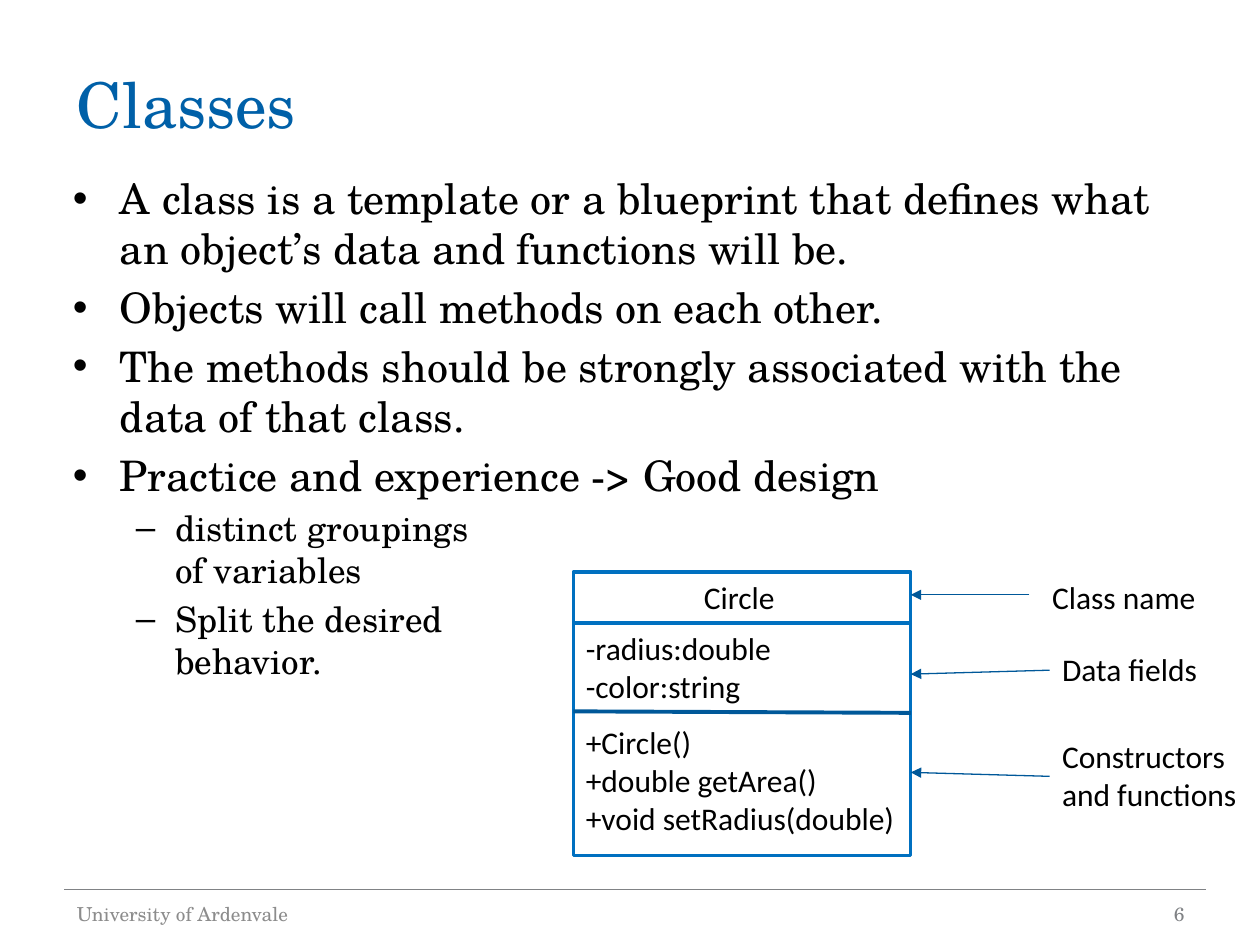
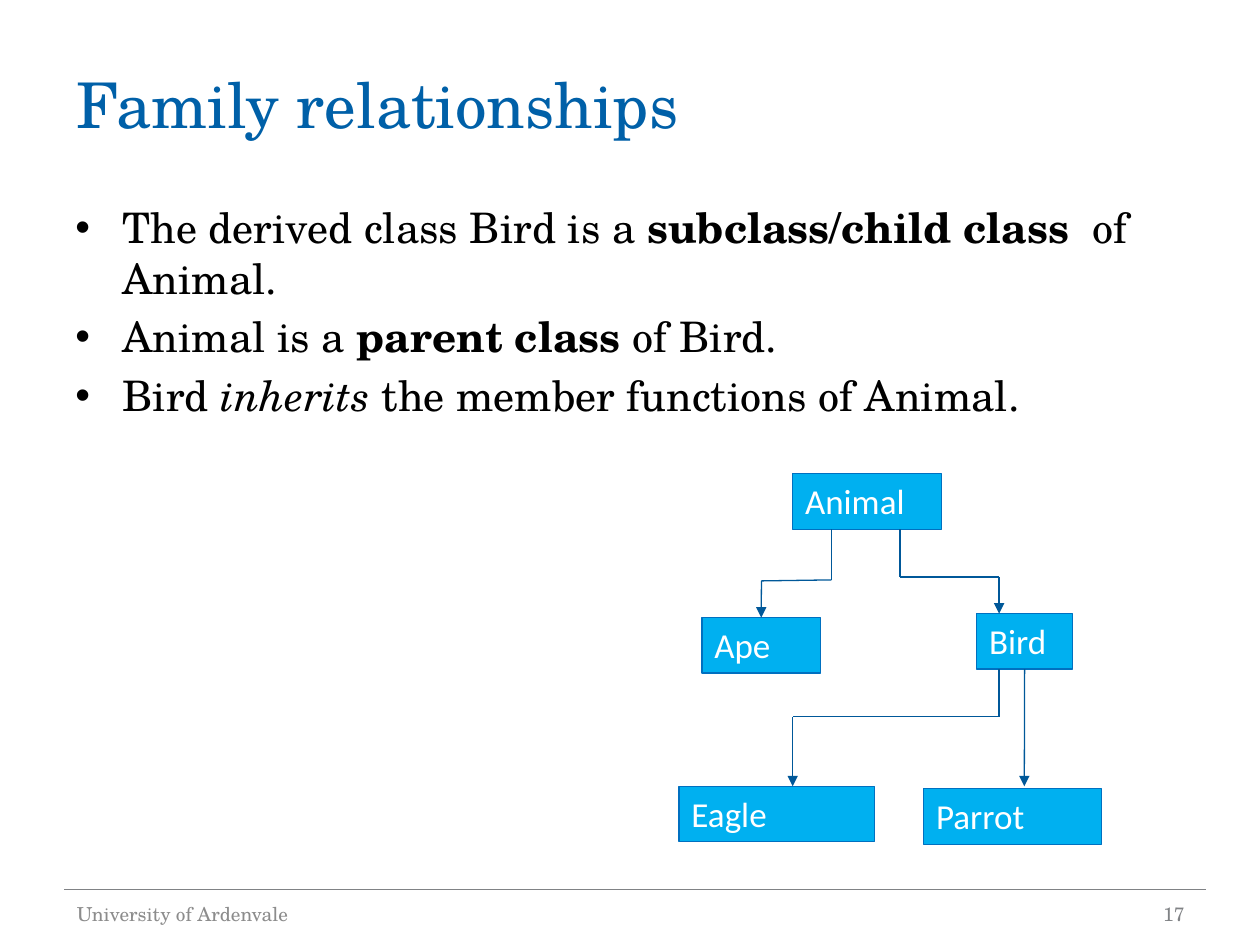
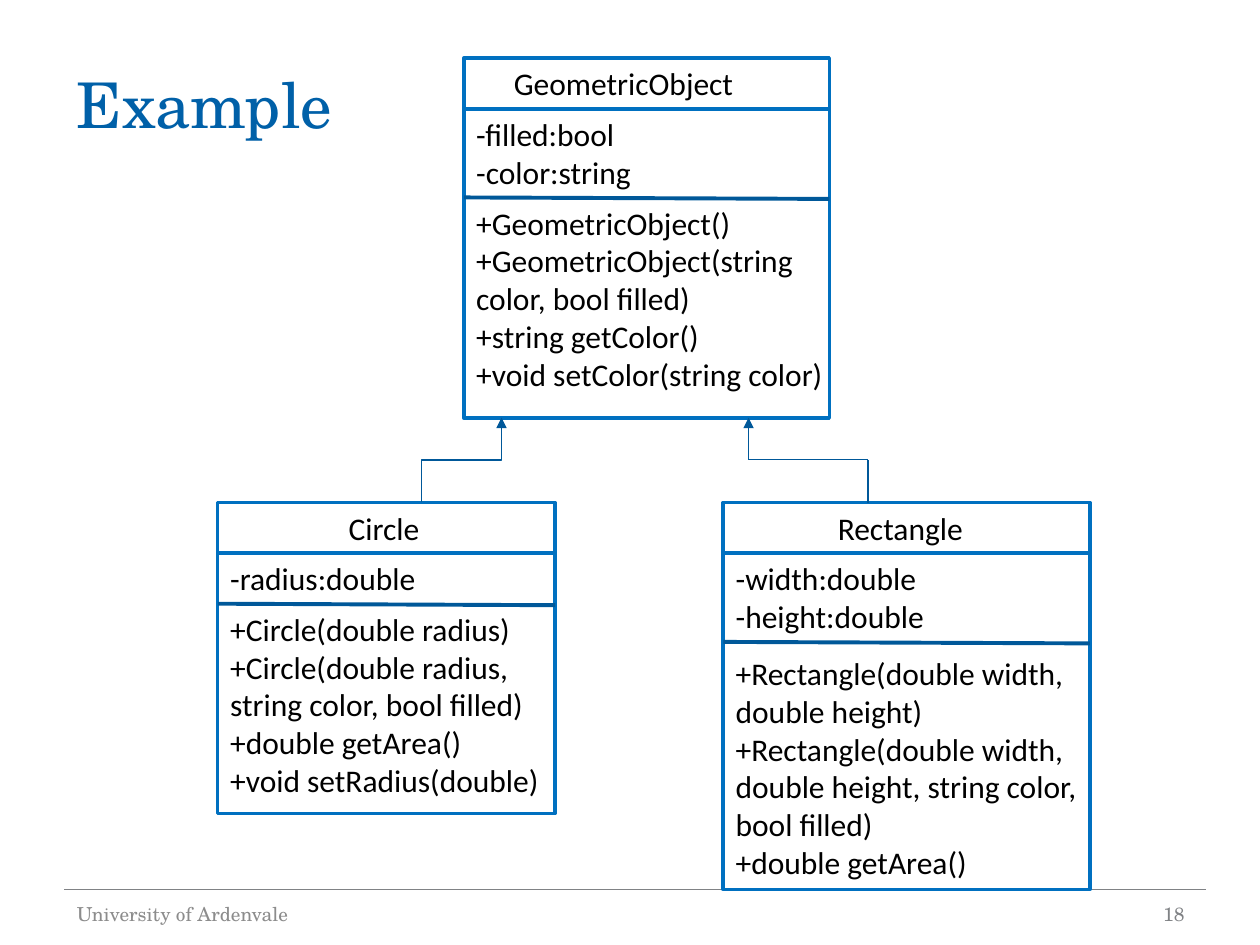
from itertools import pairwise

from lxml import etree
from pptx import Presentation
from pptx import util as u
from pptx.dml.color import RGBColor
from pptx.enum import shapes, text
from pptx.oxml.ns import qn

COLORS = {
    "title": "0060A8", "ink": "000000", "white": "FFFFFF",
    "rule": "808285", "footer": "8C8C8C",
    "outline": "0070C0", "arrow": "005899", "node": "00B0F0",
}
SERIF, SANS = "TeX Gyre Schola", "Calibri"
TITLE = {"name": SERIF, "size": u.Pt(36), "color": "title"}
FOOTER = {"name": SERIF, "size": u.Pt(11), "color": "footer"}
NUMBER = {**FOOTER, "color": "rule"}
CODE = {"name": SANS, "size": u.Pt(18), "color": "ink"}
NODE = {"name": SANS, "size": u.Pt(20), "color": "white"}

# Bullet levels: text size, left margin, hanging indent (cm), mark
LEVELS = [(24, 0.95, 0.95, "•"), (20, 2.06, 0.79, "–")]

HEADER_H = 1.02     # name row of a class box, cm
LINE_H = 0.77       # one line of code text, cm
PAD_H = 0.25        # top and bottom inset together, cm


def rgb(key):
    return RGBColor.from_string(COLORS[key])


# ---- Text ----
def add_run(p, txt, fmt):
    r = p.add_run()
    r.text = txt
    for key, value in fmt.items():
        if key == "color":
            r.font.color.rgb = rgb(value)
        else:
            setattr(r.font, key, value)


def textbox(s, x, y, w, h, lines=(), fmt=None, **frame):
    tf = s.shapes.add_textbox(*map(u.Cm, (x, y, w, h))).text_frame
    for key, value in {"word_wrap": True, **frame}.items():
        setattr(tf, key, value)
    for i, line in enumerate(lines):
        p = tf.add_paragraph() if i else tf.paragraphs[0]
        add_run(p, line, fmt)
    return tf


def bullets(s, x, y, w, h, items):
    """Each item is (level, parts); a part is text, (text, format) or None for a break."""
    tf = textbox(s, x, y, w, h)
    for i, (level, parts) in enumerate(items):
        size, margin, hang, mark = LEVELS[level]
        p = tf.add_paragraph() if i else tf.paragraphs[0]
        p.level = level
        p.space_before = u.Pt(size * 0.2)
        pPr = p._p.get_or_add_pPr()
        pPr.set("marL", str(u.Cm(margin)))
        pPr.set("indent", str(-u.Cm(hang)))
        etree.SubElement(pPr, qn("a:buFont")).set("typeface", "Arial")
        etree.SubElement(pPr, qn("a:buChar")).set("char", mark)
        base = {"name": SERIF, "size": u.Pt(size), "color": "ink"}
        for part in parts:
            if part is None:
                p.add_line_break()
            elif isinstance(part, str):
                add_run(p, part, base)
            else:
                add_run(p, part[0], {**base, **part[1]})


# ---- Lines and boxes ----
def line(s, start, end, color="arrow", width=0.75, arrow=False,
         kind=shapes.MSO_CONNECTOR.STRAIGHT):
    c = s.shapes.add_connector(kind, *map(u.Cm, (*start, *end)))
    c.line.color.rgb = rgb(color)
    c.line.width = u.Pt(width)
    if arrow:
        etree.SubElement(c.line._get_or_add_ln(), qn("a:tailEnd")).set("type", "triangle")
    etree.SubElement(c._element.spPr, qn("a:effectLst"))
    return c


def route(s, *points):
    """Straight segments through the points, with an arrowhead on the last."""
    pairs = list(pairwise(points))
    return [line(s, a, b, arrow=i == len(pairs)) for i, (a, b) in enumerate(pairs, 1)]


def riser(s, start, end):
    """Elbow arrow that goes up, right and up: a flipped elbow turned by 90 degrees."""
    (x1, y1), (x2, y2) = start, end
    cx, cy = (x1 + x2) / 2, (y1 + y2) / 2
    dx, dy = (y1 - y2) / 2, (x2 - x1) / 2
    c = line(s, (cx + dx, cy + dy), (cx - dx, cy - dy), arrow=True,
             kind=shapes.MSO_CONNECTOR.ELBOW)
    c._element.spPr.find(qn("a:xfrm")).set("rot", "5400000")


def box(s, x, y, w, h, fill=None, width=0.75):
    sp = s.shapes.add_shape(shapes.MSO_SHAPE.RECTANGLE, *map(u.Cm, (x, y, w, h)))
    sp.shadow.inherit = False
    sp.line.color.rgb = rgb("outline")
    sp.line.width = u.Pt(width)
    if fill:
        sp.fill.solid()
        sp.fill.fore_color.rgb = rgb(fill)
    else:
        sp.fill.background()
    return sp


def node(s, x, y, w, name):
    sp = box(s, x, y, w, 1.12, "node")
    tf = sp.text_frame
    tf.vertical_anchor = text.MSO_ANCHOR.TOP
    p = tf.paragraphs[0]
    p.alignment = text.PP_ALIGN.LEFT
    add_run(p, name, NODE)
    return sp


def class_box(s, x, y, w, h, name, indent, fields, methods, gap=0):
    """Class diagram: name, fields and methods, parted by two lines."""
    box(s, x, y, w, h, width=2)
    fields_y = y + HEADER_H
    fields_h = PAD_H + LINE_H * len(fields)
    methods_y = fields_y + fields_h
    textbox(s, x + indent, y, w - indent, HEADER_H, [name], CODE)
    line(s, (x, fields_y), (x + w, fields_y), "outline", 2.25)
    textbox(s, x, fields_y, w, fields_h, fields, CODE)
    line(s, (x, methods_y), (x + w, methods_y + 0.03), width=2.25)
    textbox(s, x, methods_y + gap, w + 0.32, y + h - methods_y - gap, methods, CODE)


# ---- Slide frame ----
def new_slide(prs, title, number):
    s = prs.slides.add_slide(prs.slide_layouts[6])
    middle = {"vertical_anchor": text.MSO_ANCHOR.MIDDLE}
    line(s, (1.3, 17.93), (24.31, 17.93), "rule")
    textbox(s, 1.3, 0.91, 22.86, 2.36, [title], TITLE, **middle)
    textbox(s, 1.3, 17.91, 8.05, 1.02, ["University of Ardenvale"], FOOTER, **middle)
    tf = textbox(s, 18.21, 17.91, 5.92, 1.02, [str(number)], NUMBER, **middle)
    tf.paragraphs[0].alignment = text.PP_ALIGN.RIGHT
    return s


# ---- Slides ----
def classes(prs):
    s = new_slide(prs, "Classes", 6)
    bullets(s, 1.22, 3.35, 22.63, 13.08, [
        (0, ["A class is a template or a blueprint that defines what "
             "an object’s data and functions will be."]),
        (0, ["Objects will call methods on each other."]),
        (0, ["The methods should be strongly associated with the data of that class."]),
        (0, ["Practice and experience -> Good design"]),
        (1, ["distinct groupings ", None, "of variables"]),
        (1, ["Split the desired ", None, "behavior."]),
    ])
    class_box(s, 11.56, 11.53, 6.8, 5.72, "Circle", 2.38,
              ["-radius:double", "-color:string"],
              ["+Circle()", "+double getArea()", "+void setRadius(double)"], gap=0.12)
    # Labels with arrows to the rows of the class box
    for label, x, y, w, start, end_y in [
        ("Class name", 20.96, 11.53, 4.4, (20.75, 11.99), 11.99),
        ("Data fields", 21.16, 12.98, 3.8, (21.16, 13.51), 13.59),
        ("Constructors and functions", 21.16, 14.73, 4.27, (21.16, 15.65), 15.57),
    ]:
        textbox(s, x, y, w, HEADER_H, [label], CODE)
        line(s, start, (18.36, end_y), arrow=True)


def family(prs):
    s = new_slide(prs, "Family relationships", 17)
    bold, italic = {"bold": True}, {"italic": True}
    bullets(s, 1.27, 3.94, 22.89, 13.08, [
        (0, ["The derived class Bird is a ", ("subclass/child class ", bold), " of Animal."]),
        (0, ["Animal is a ", ("parent class ", bold), "of Bird."]),
        (0, ["Bird ", ("inherits", italic), " the member functions of Animal."]),
    ])
    # Tree of classes
    bird = node(s, 19.69, 12.37, 1.93, "Bird")
    node(s, 15.98, 9.55, 3, "Animal")
    ape = node(s, 14.15, 12.45, 2.39, "Ape")
    node(s, 18.62, 15.9, 3.58, "Parrot")
    node(s, 13.69, 15.85, 3.94, "Eagle")
    to_ape = route(s, (16.76, 10.67), (16.76, 11.69), (15.35, 11.71), (15.35, 12.45))
    to_ape[-1].end_connect(ape, 0)
    route(s, (18.14, 10.67), (18.14, 11.63), (20.14, 11.63), (20.14, 12.37))
    route(s, (20.14, 13.49), (20.14, 14.45), (15.98, 14.45), (15.98, 15.85))
    to_parrot = route(s, (20.65, 13.49), (20.65, 15.85))
    to_parrot[0].begin_connect(bird, 2)


def example(prs):
    s = new_slide(prs, "Example", 18)
    class_box(s, 9.35, 1.17, 7.37, 7.26, "GeometricObject", 0.76,
              ["-filled:bool", "-color:string"],
              ["+GeometricObject()", "+GeometricObject(string color, bool filled)",
               "+string getColor()", "+void setColor(string color)"])
    class_box(s, 4.39, 10.13, 6.8, 6.27, "Circle", 2.39,
              ["-radius:double"],
              ["+Circle(double radius)", "+Circle(double radius, string color, bool filled)",
               "+double getArea()", "+void setRadius(double)"])
    class_box(s, 14.58, 10.13, 7.39, 7.8, "Rectangle", 2.06,
              ["-width:double", "-height:double"],
              ["+Rectangle(double width, double height)",
               "+Rectangle(double width, double height, string color, bool filled)",
               "+double getArea()"], gap=0.12)
    # Arrows to the parent class
    riser(s, (8.5, 10.13), (10.11, 8.42))
    route(s, (17.5, 10.13), (17.5, 9.27), (15.09, 9.27), (15.09, 8.42))


def main():
    prs = Presentation()
    prs.slide_width, prs.slide_height = u.Cm(25.4), u.Cm(19.05)
    classes(prs)
    family(prs)
    example(prs)
    prs.save("out.pptx")


if __name__ == "__main__":
    main()
